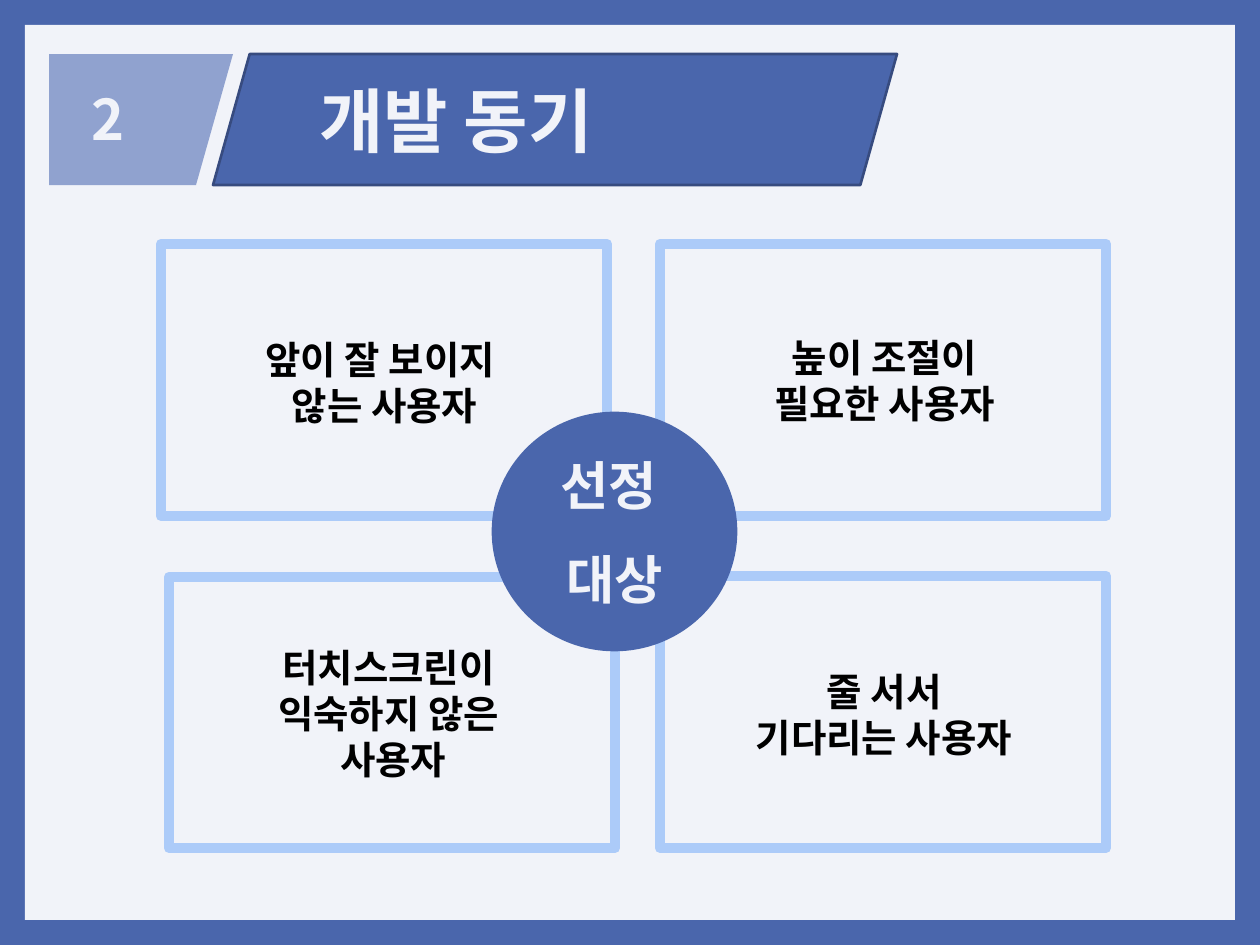
from lxml.etree import SubElement
from pptx import Presentation
from pptx.dml.color import RGBColor
from pptx.enum.shapes import MSO_SHAPE
from pptx.enum.text import MSO_ANCHOR, MSO_AUTO_SIZE, PP_ALIGN
from pptx.oxml.ns import qn
from pptx.util import Inches, Pt

PX = Inches(1) / 126
FONT = "Noto Sans CJK KR"
BLUE = RGBColor(0x4A, 0x66, 0xAC)
DARK_BLUE = RGBColor(0x37, 0x4B, 0x7F)
MID_BLUE = RGBColor(0x90, 0xA2, 0xCF)
LIGHT_BLUE = RGBColor(0xAC, 0xCB, 0xF9)
PALE = RGBColor(0xF1, 0xF3, 0xF9)
BLACK = RGBColor(0, 0, 0)


def px(n):
    return round(n * PX)


def style(sp, fill=None, line=None, width=1.5):
    sp.shadow.inherit = False
    if fill is None:
        sp.fill.background()
    else:
        sp.fill.solid()
        sp.fill.fore_color.rgb = fill
    if line is None:
        sp.line.fill.background()
    else:
        sp.line.color.rgb = line
        sp.line.width = Pt(width)


def add_box(s, kind, x, y, w, h, **look):
    sp = s.shapes.add_shape(kind, px(x), px(y), px(w), px(h))
    style(sp, **look)
    return sp


def write(tf, lines, size, color, align=PP_ALIGN.CENTER):
    tf.word_wrap = True
    for i, line in enumerate(lines):
        p = tf.paragraphs[0] if i == 0 else tf.add_paragraph()
        p.alignment = align
        r = p.add_run()
        r.text = line
        r.font.size = Pt(size)
        r.font.bold = True
        r.font.name = FONT
        r.font.color.rgb = color
        SubElement(r.font._element, qn("a:ea")).set("typeface", FONT)


def add_text(s, x, y, w, h, lines, size, color, align=PP_ALIGN.CENTER):
    tf = s.shapes.add_textbox(px(x), px(y), px(w), px(h)).text_frame
    write(tf, lines, size, color, align)
    tf.auto_size = MSO_AUTO_SIZE.SHAPE_TO_FIT_TEXT
    return tf


def add_header(s, x, y, h, number, title):
    # Title banner
    banner = add_box(s, MSO_SHAPE.PARALLELOGRAM, x + 164, y, 684, h,
                     fill=BLUE, line=DARK_BLUE)
    banner.adjustments[0] = 0.28
    add_text(s, x + 258, y + 17, 600, 97, [title], 40, PALE, PP_ALIGN.LEFT)

    # Number tab with a slanted right side
    fb = s.shapes.build_freeform(px(x), px(y))
    fb.add_line_segments([(px(x + 184), px(y)), (px(x + 147), px(y + h)),
                          (px(x), px(y + h))], close=True)
    style(fb.convert_to_shape(), fill=MID_BLUE)
    tf = add_text(s, x + 5, y + 24, 248, 81, [number], 32, PALE,
                  PP_ALIGN.LEFT)
    tf.margin_left = px(37)


def add_card(s, x, y, w, h, text_box, lines):
    add_box(s, MSO_SHAPE.RECTANGLE, x, y, w, h, line=LIGHT_BLUE, width=6)
    dx, dy, tw, th = text_box
    add_text(s, x + dx, y + dy, tw, th, lines, 22, BLACK)


def add_cards(s, x, y):
    w, h = 446, 272
    right, below = x + 499, y + 332
    add_card(s, x, y, w, h, (90, 86, 267, 106),
             ["앞이 잘 보이지 ", "않는 사용자"])
    add_card(s, right, y, w, h, (91, 84, 267, 106),
             ["높이 조절이", "필요한 사용자"])
    add_card(s, x + 8, below + 1, w, h - 1, (57, 61, 334, 152),
             ["터치스크린이 ", "익숙하지 않은 ", "사용자"])
    add_card(s, right, below, w, h, (57, 86, 334, 106),
             ["줄 서서", "기다리는 사용자"])


def add_hub(s, x, y, w, h):
    sp = add_box(s, MSO_SHAPE.OVAL, x, y, w, h, fill=BLUE, line=BLUE)
    tf = sp.text_frame
    tf.vertical_anchor = MSO_ANCHOR.MIDDLE
    write(tf, ["선정 ", "대상"], 30, PALE)
    tf.paragraphs[1].line_spacing = 1.5


def main():
    prs = Presentation()
    prs.slide_width, prs.slide_height = Inches(10), Inches(7.5)
    s = prs.slides.add_slide(prs.slide_layouts[6])

    # Blue border around a pale page
    s.background.fill.solid()
    s.background.fill.fore_color.rgb = BLUE
    add_box(s, MSO_SHAPE.RECTANGLE, 25, 25, 1210, 895, fill=PALE)

    add_header(s, 49, 54, 131, "2", "개발 동기")
    add_cards(s, 161, 244)
    add_hub(s, 493, 413, 243, 237)
    prs.save("out.pptx")


if __name__ == "__main__":
    main()
